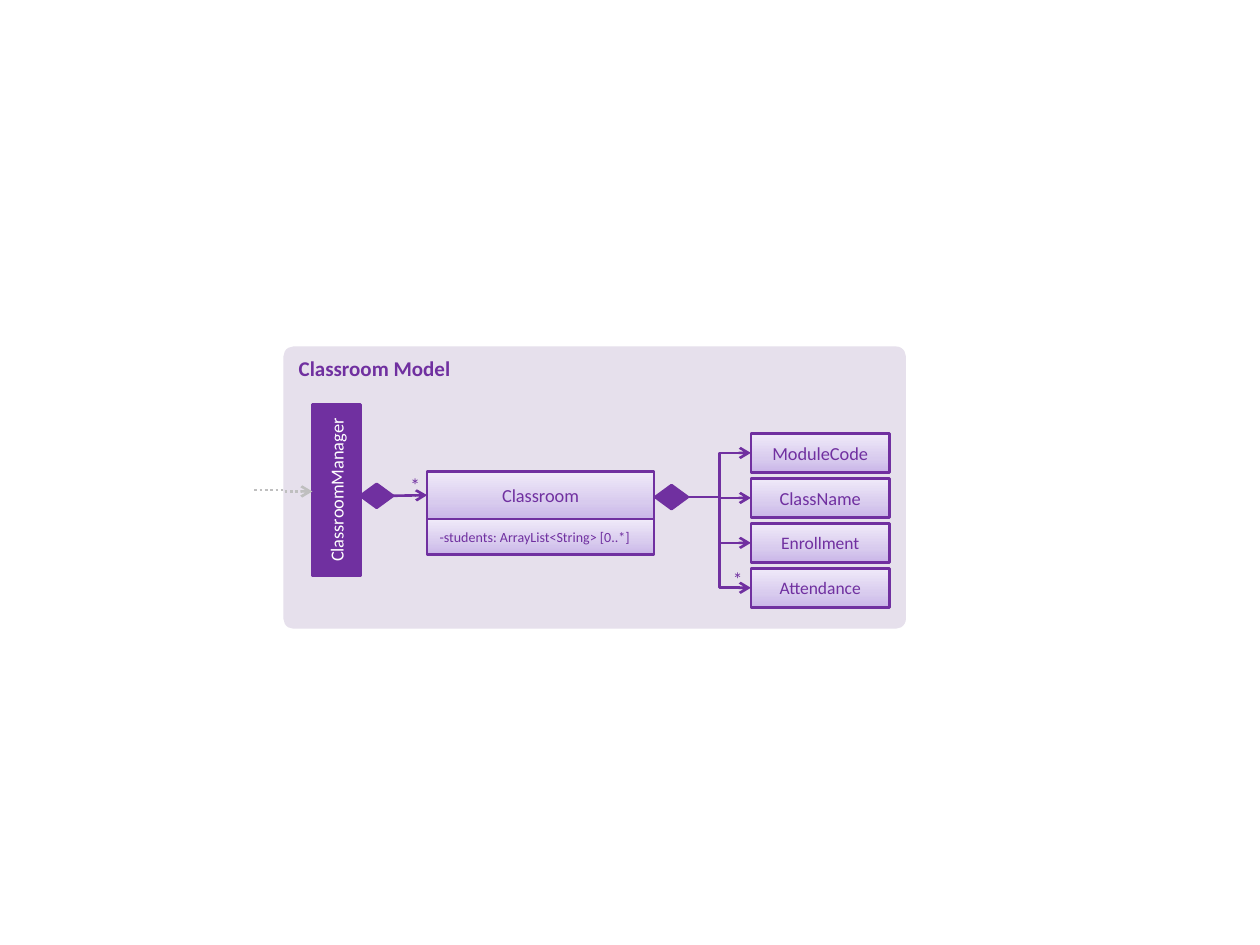
import pptx
import pptx.util
import pptx.dml.color
import pptx.enum.dml
import pptx.enum.shapes
import pptx.enum.text
import pptx.oxml
import pptx.oxml.ns
from lxml import etree

SHAPE = pptx.enum.shapes.MSO_SHAPE
LINK = pptx.enum.shapes.MSO_CONNECTOR
ALIGN = pptx.enum.text.PP_ALIGN
ANCHOR = pptx.enum.text.MSO_ANCHOR

PURPLE, PANEL, GREY, WHITE = "7030A0", "E6E0EC", "BFBFBF", "FFFFFF"
LILAC = [(0, "C9B5E8"), (35, "D8CBEE"), (100, "F0EAF9")]
TOP, LEFT, BOTTOM, RIGHT = range(4)

# The slide is a grid of 1000 columns by 750 rows
COLS, ROWS = 1000, 750
prs = pptx.Presentation()
prs.slide_width, prs.slide_height = pptx.util.Inches(10), pptx.util.Inches(7.5)
s = prs.slides.add_slide(prs.slide_layouts[6])


def grid(*values):
    """Turn alternating columns and rows into lengths."""
    return [pptx.util.Emu(round(v * (prs.slide_height / ROWS if i % 2 else prs.slide_width / COLS)))
            for i, v in enumerate(values)]


def rgb(code):
    return pptx.dml.color.RGBColor.from_string(code)


def gradient(sp, stops):
    """Linear fill that runs from the bottom to the top."""
    gs = "".join(f'<a:gs pos="{pos * 1000}"><a:srgbClr val="{code}"/></a:gs>' for pos, code in stops)
    fill = pptx.oxml.parse_xml(
        f'<a:gradFill {pptx.oxml.ns.nsdecls("a")} rotWithShape="1"><a:gsLst>{gs}</a:gsLst>'
        '<a:lin ang="16200000" scaled="0"/></a:gradFill>')
    sp._element.spPr.find(pptx.oxml.ns.qn("a:prstGeom")).addnext(fill)


def write(sp, text, size=10.5, color=PURPLE, bold=False, align=ALIGN.CENTER, anchor=ANCHOR.MIDDLE):
    tf = sp.text_frame
    tf.word_wrap = True
    tf.vertical_anchor = anchor
    p = tf.paragraphs[0]
    p.alignment = align
    r = p.add_run()
    r.text = text
    r.font.name, r.font.size, r.font.bold = "Calibri", pptx.util.Pt(size), bold
    r.font.color.rgb = rgb(color)


def shape(kind, box, fill=LILAC, line=PURPLE):
    sp = s.shapes.add_shape(kind, *grid(*box))
    sp.shadow.inherit = False
    if isinstance(fill, list):
        gradient(sp, fill)
    else:
        sp.fill.solid()
        sp.fill.fore_color.rgb = rgb(fill)
    if line:
        sp.line.color.rgb = rgb(line)
        sp.line.width = pptx.util.Pt(1.5)
    else:
        sp.line.fill.background()
    return sp


def class_box(box, text, **fmt):
    sp = shape(SHAPE.RECTANGLE, box)
    write(sp, text, **fmt)
    return sp


def diamond(x, y):
    return shape(SHAPE.FLOWCHART_DECISION, (x, y, 26, 19), fill=PURPLE)


def star(x, y):
    """Multiplicity mark beside an arrowhead."""
    sp = s.shapes.add_textbox(*grid(x, y, 19, 15))
    tf = sp.text_frame
    tf.margin_left = tf.margin_right = tf.margin_top = tf.margin_bottom = 0
    write(sp, "*", size=11, anchor=ANCHOR.TOP)


def arrow(kind, ends, color=PURPLE, dash=None):
    c = s.shapes.add_connector(kind, *grid(*ends))
    c.line.color.rgb = rgb(color)
    c.line.width = pptx.util.Pt(1.5)
    if dash:
        c.line.dash_style = dash
    ln = c.line._get_or_add_ln()
    etree.SubElement(ln, pptx.oxml.ns.qn("a:tailEnd"), type="arrow")
    etree.SubElement(c._element.spPr, pptx.oxml.ns.qn("a:effectLst"))
    return c


def join(kind, start, end):
    """Arrow from the right side of one shape to the left side of another."""
    c = arrow(kind, (0, 0, 0, 0))
    c.begin_connect(start, RIGHT)
    c.end_connect(end, LEFT)


def panel(x, y, w, h):
    sp = shape(SHAPE.ROUNDED_RECTANGLE, (x, y, w, h), fill=PANEL, line=None)
    sp.adjustments[0] = 0.035
    write(sp, "Classroom Model", size=12, bold=True, align=ALIGN.LEFT, anchor=ANCHOR.TOP)


def manager(x, y, w, h):
    """Upright bar: a flat box turned about its centre."""
    sp = shape(SHAPE.RECTANGLE, (x + (w - h) / 2, y + (h - w) / 2, h, w), fill=PURPLE)
    sp.rotation = 270
    write(sp, "ClassroomManager", color=WHITE)
    arrow(LINK.ELBOW, (x - 46, y + h / 2, x, y + h / 2 + 1), GREY,
          pptx.enum.dml.MSO_LINE.ROUND_DOT)
    return diamond(x + w, y + 63)


def classroom(x, y, w, h, source):
    head = 38
    sp = class_box((x, y, w, head), "Classroom")
    class_box((x, y + head, w, h - head), "-students: ArrayList<String> [0..*]",
              size=8, align=ALIGN.LEFT)
    join(LINK.STRAIGHT, source, sp)
    star(x - 19, y + 2)
    return diamond(x + w + 1, y + 11)


def members(x, y, w, h, source):
    names = [("ModuleCode", 10.5), ("ClassName", 10.5), ("Enrollment", 10), ("Attendance", 10)]
    row = 31
    pitch = (h - row) / (len(names) - 1)
    for i, (name, size) in enumerate(names):
        sp = class_box((x, y + i * pitch, w, row), name, size=size)
        join(LINK.ELBOW, source, sp)
    star(x - 20, y + h - row - 1)


def class_model(x, y, w, h):
    panel(x, y, w, h)
    owner = manager(x + 23, y + 46, 38, 136)
    parent = classroom(x + 114, y + 99, 180, 66, owner)
    members(x + 371, y + 69, 110, 138, parent)


class_model(225, 275, 494, 224)
prs.save("out.pptx")
